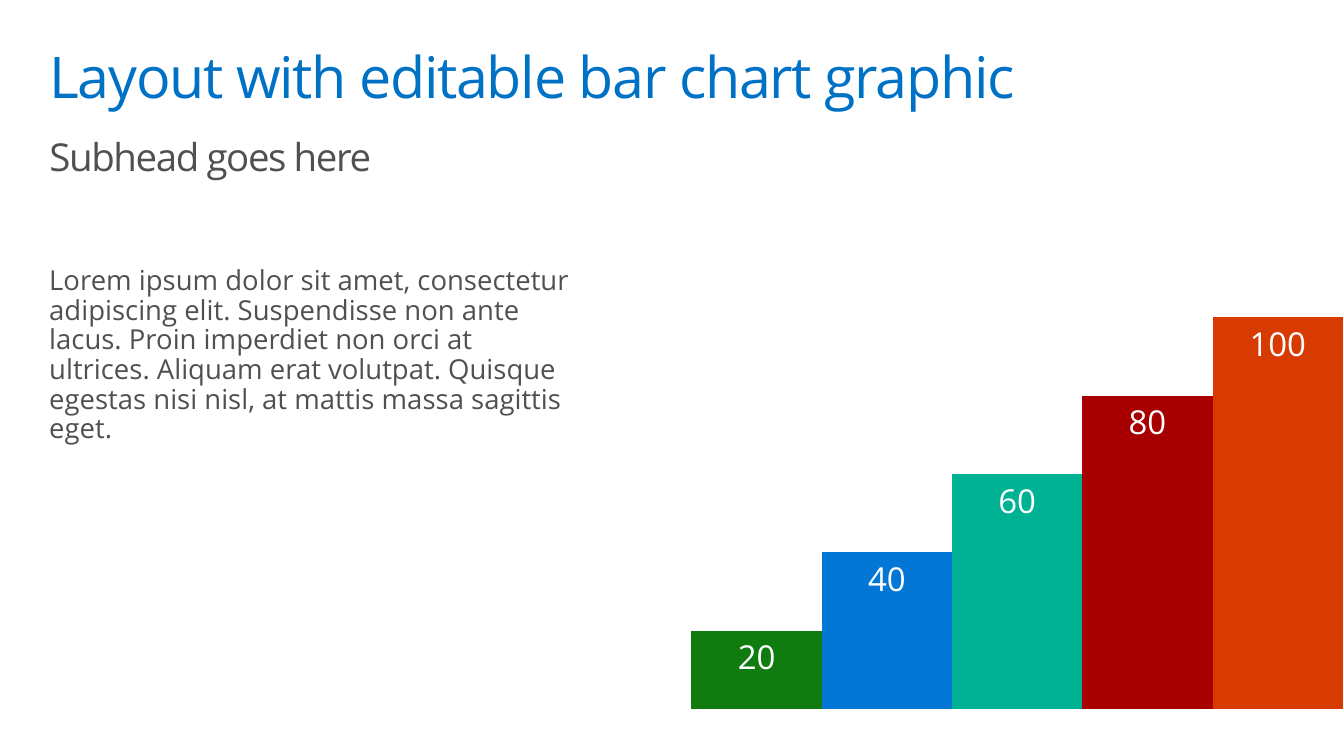
from lxml import etree
from pptx import Presentation
from pptx.chart.data import CategoryChartData
from pptx.dml.color import RGBColor
from pptx.enum.chart import XL_CHART_TYPE as CT, XL_LABEL_POSITION as LP
from pptx.enum.chart import XL_TICK_LABEL_POSITION as TLP, XL_TICK_MARK as TM
from pptx.enum.text import MSO_ANCHOR, MSO_AUTO_SIZE, PP_ALIGN
from pptx.oxml.ns import qn
from pptx.util import Inches, Pt

FONT = "Open Sans"
BLUE, GRAY, WHITE = "0072C6", "505050", "FFFFFF"
BARS = [(20, "107C10"), (40, "0377D6"), (60, "00B294"),
        (80, "A80000"), (100, "D83B01")]
LOREM = ("Lorem ipsum dolor sit amet, consectetur adipiscing elit. "
         "Suspendisse non ante lacus. Proin imperdiet non orci at ultrices. "
         "Aliquam erat volutpat. Quisque egestas nisi nisl, at mattis massa "
         "sagittis eget.")


def rgb(value):
    """Turn a hex string into a colour."""
    return RGBColor.from_string(value)


def set_font(font, size, color):
    """Format a font with the deck's typeface."""
    font.name, font.size = FONT, Pt(size)
    font.color.rgb = rgb(color)


def place(sp, box):
    """Move a shape to a box given in inches."""
    sp.left, sp.top, sp.width, sp.height = (Inches(v) for v in box)


def write(sp, text, size=20, color=GRAY, before=0, tracking=0):
    """Write one left-aligned, top-anchored paragraph without a bullet."""
    tf = sp.text_frame
    tf.word_wrap, tf.auto_size = True, MSO_AUTO_SIZE.NONE
    tf.vertical_anchor = MSO_ANCHOR.TOP
    tf.margin_left = tf.margin_right = Inches(0.1)
    tf.margin_top = tf.margin_bottom = Inches(0.1)
    p = tf.paragraphs[0]
    p.alignment, p.line_spacing = PP_ALIGN.LEFT, 0.9
    p.space_before = Pt(before)
    pPr = p._p.get_or_add_pPr()
    pPr.set("marL", "0")
    pPr.set("indent", "0")
    etree.SubElement(pPr, qn("a:buNone"))
    r = p.add_run()
    r.text = text
    set_font(r.font, size, color)
    r._r.get_or_add_rPr().set("spc", str(round(tracking * 100)))


def add_heading(s, box):
    """Fill the title and, right below it, the subhead."""
    x, y, w, h = box
    title, subhead = s.shapes.title, s.placeholders[1]
    place(title, (x, y, w, h / 2))
    write(title, "Layout with editable bar chart graphic",
          size=41.8, color=BLUE, tracking=-0.9)
    place(subhead, (x, y + h / 2, w, h / 2))
    write(subhead, "Subhead goes here", size=28, before=6, tracking=-1)


def add_body(s, box):
    """Add the text block beside the chart."""
    sp = s.shapes.add_textbox(*(Inches(v) for v in box))
    write(sp, LOREM, before=6)


def set_plot_box(chart, **fractions):
    """Fix the inner plot area as fractions of the chart frame."""
    area = chart._chartSpace.chart.plotArea
    for old in area.findall(qn("c:layout")):
        area.remove(old)
    layout = etree.Element(qn("c:layout"))
    manual = etree.SubElement(layout, qn("c:manualLayout"))
    settings = {"layoutTarget": "inner", "xMode": "edge", "yMode": "edge",
                **fractions}
    for tag, value in settings.items():
        etree.SubElement(manual, qn("c:" + tag)).set("val", str(value))
    area.insert(0, layout)


def add_bar_chart(s, box):
    """Add the column chart with one coloured series per bar."""
    data = CategoryChartData(number_format="0")
    data.categories = ["1"]
    for i, (value, _) in enumerate(BARS, 1):
        data.add_series(f"Series {i}", [value])
    chart = s.shapes.add_chart(
        CT.COLUMN_CLUSTERED, *(Inches(v) for v in box), data).chart
    chart.has_legend = chart.has_title = False
    set_font(chart.font, 24, WHITE)
    set_plot_box(chart, x=0.029, y=0.072, w=0.966, h=0.89)
    for axis in (chart.category_axis, chart.value_axis):
        axis.has_major_gridlines = False
        axis.major_tick_mark = axis.minor_tick_mark = TM.NONE
        axis.tick_label_position = TLP.NONE
        axis.format.line.fill.background()
    axis = chart.value_axis
    axis.minimum_scale, axis.maximum_scale, axis.major_unit = 0, 125, 25
    plot = chart.plots[0]
    plot.gap_width, plot.overlap, plot.vary_by_categories = 100, 0, False
    for series, (_, color) in zip(plot.series, BARS):
        series.format.fill.solid()
        series.format.fill.fore_color.rgb = rgb(color)
        labels = series.data_labels
        labels.show_value, labels.position = True, LP.INSIDE_END
        labels.number_format, labels.number_format_is_linked = "0", False
        set_font(labels.font, 24, WHITE)


def main():
    """Build the slide and save it."""
    prs = Presentation()
    prs.slide_width, prs.slide_height = Inches(13.6), Inches(7.64)
    s = prs.slides.add_slide(prs.slide_layouts[1])
    add_heading(s, (0.4, 0.4, 12.8, 1.8))
    add_bar_chart(s, (6.1, 1.82, 8.19, 5.57))
    add_body(s, (0.4, 2.6, 5.5, 2.53))
    prs.save("out.pptx")


main()
